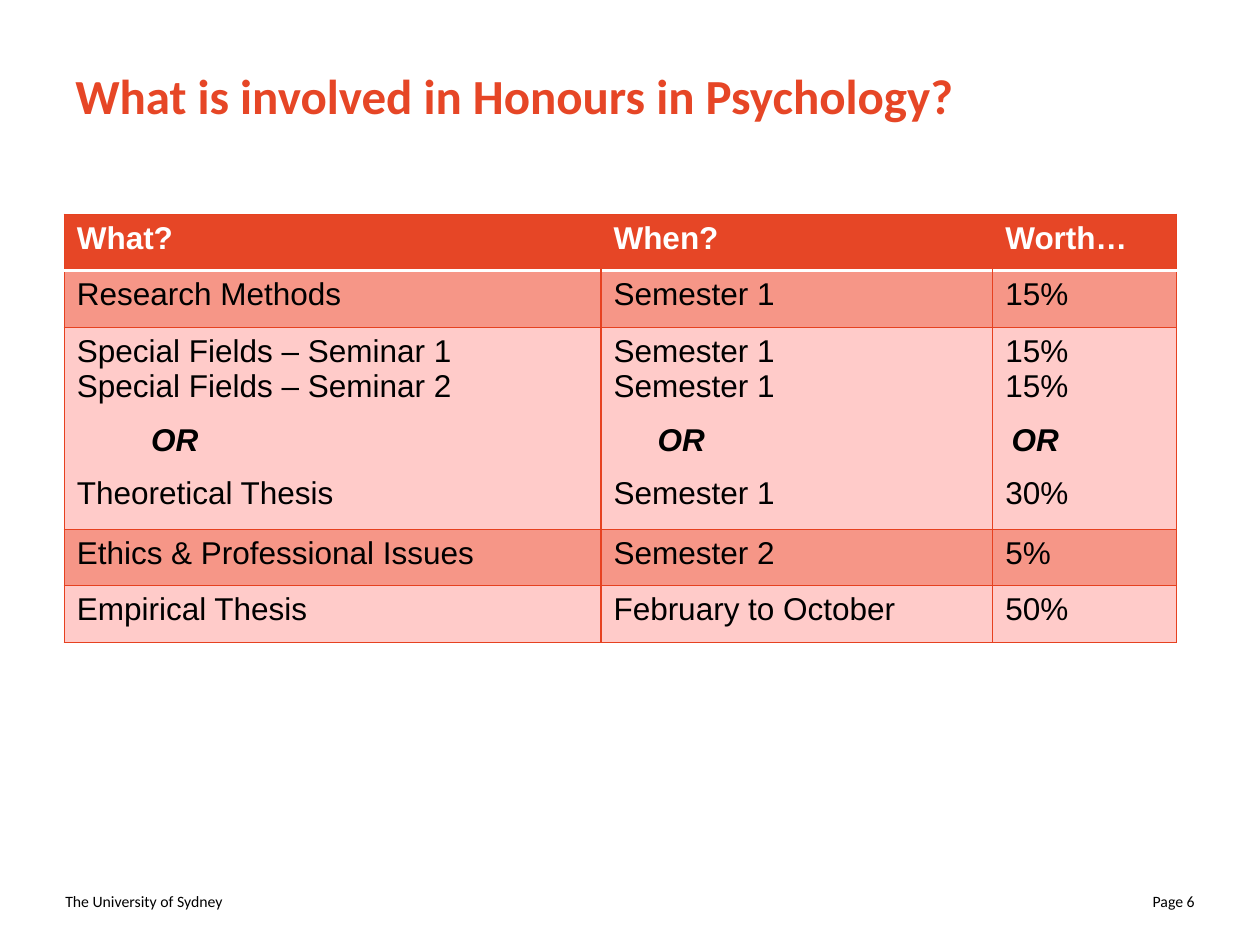
from dataclasses import dataclass

import pptx
import pptx.dml.color
import pptx.enum.text
import pptx.oxml.ns
import pptx.util
from lxml import etree

Inches = pptx.util.Inches
Align = pptx.enum.text.PP_ALIGN


@dataclass(frozen=True)
class Theme:
    heading_font: str = "Calibri"
    table_font: str = "Arial"
    title_size: float = 28
    table_size: float = 18
    footer_size: float = 9
    choice_gap: float = 10.5
    accent: str = "E64626"
    rule: str = "E64120"
    dark_band: str = "F69687"
    light_band: str = "FFCBC9"
    white: str = "FFFFFF"
    black: str = "000000"


@dataclass(frozen=True)
class Label:
    text: str
    left: float
    top: float
    width: float
    height: float
    size: float
    color: str
    bold: bool = False
    align: Align = Align.LEFT


@dataclass(frozen=True)
class Column:
    width: float
    choice_indent: float


THEME = Theme()
CHOICE = "OR"
LABELS = [
    Label("The University of Sydney", 0.42, 6.95, 2.33, 0.4, THEME.footer_size, THEME.black),
    Label("Page 6", 7.25, 6.95, 2.33, 0.4, THEME.footer_size, THEME.black, align=Align.RIGHT),
    Label("What is involved in Honours in Psychology?", 0.5, 0.13, 9, 1.25,
          THEME.title_size, THEME.accent, bold=True),
]
COLUMNS = [Column(4.26, 0.59), Column(3.11, 0.35), Column(1.46, 0.05)]
ROW_HEIGHTS = [0.45, 0.45, 1.6, 0.45, 0.45]
ROWS = [
    ("What?", "When?", "Worth…"),
    ("Research Methods", "Semester 1", "15%"),
    ("Special Fields – Seminar 1\nSpecial Fields – Seminar 2\nOR\nTheoretical Thesis",
     "Semester 1\nSemester 1\nOR\nSemester 1",
     "15%\n15%\nOR\n30%"),
    ("Ethics & Professional Issues", "Semester 2", "5%"),
    ("Empirical Thesis", "February to October", "50%"),
]


def rgb(color: str) -> pptx.dml.color.RGBColor:
    return pptx.dml.color.RGBColor.from_string(color)


def style_font(para, name: str, size: float, color: str, bold: bool = False) -> None:
    para.font.name = name
    para.font.size = pptx.util.Pt(size)
    para.font.color.rgb = rgb(color)
    para.font.bold = bold


def add_label(page, label: Label) -> None:
    box = page.shapes.add_textbox(*map(Inches, (label.left, label.top, label.width, label.height)))
    frame = box.text_frame
    frame.word_wrap = True
    frame.vertical_anchor = pptx.enum.text.MSO_ANCHOR.MIDDLE
    para = frame.paragraphs[0]
    para.text = label.text
    para.alignment = label.align
    style_font(para, THEME.heading_font, label.size, label.color, label.bold)


def set_border(cell, side: str, color: str | None, points: float = 0.75) -> None:
    """Draw one cell side (L, R, T or B), or clear it when color is None."""
    qn = pptx.oxml.ns.qn
    properties = cell._tc.get_or_add_tcPr()
    line = etree.SubElement(properties, qn(f"a:ln{side}"), w=str(pptx.util.Pt(points)))
    if color is None:
        etree.SubElement(line, qn("a:noFill"))
    else:
        fill = etree.SubElement(line, qn("a:solidFill"))
        etree.SubElement(fill, qn("a:srgbClr"), val=color)


def draw_borders(cell, row: int, col: int) -> None:
    header = row == 0
    set_border(cell, "L", None if header and col > 0 else THEME.rule)
    set_border(cell, "R", None if header and col < len(COLUMNS) - 1 else THEME.rule)
    if row == 1:
        set_border(cell, "T", THEME.white, 2)
    else:
        set_border(cell, "T", THEME.rule)
    if header:
        set_border(cell, "B", THEME.white, 2)
    else:
        set_border(cell, "B", THEME.rule)


def fill_cell(cell, text: str, row: int, col: int) -> None:
    header = row == 0
    draw_borders(cell, row, col)
    cell.fill.solid()
    band = THEME.dark_band if row % 2 else THEME.light_band
    cell.fill.fore_color.rgb = rgb(THEME.accent if header else band)
    cell.text_frame.text = text
    color = THEME.white if header else THEME.black
    for para in cell.text_frame.paragraphs:
        style_font(para, THEME.table_font, THEME.table_size, color, header)
        if para.text == CHOICE:
            para.font.bold = para.font.italic = True
            para.space_before = para.space_after = pptx.util.Pt(THEME.choice_gap)
            para._p.get_or_add_pPr().set("marL", str(Inches(COLUMNS[col].choice_indent)))


def add_course_table(page) -> None:
    width = sum(column.width for column in COLUMNS)
    table = page.shapes.add_table(
        len(ROWS), len(COLUMNS), Inches(0.51), Inches(1.7),
        Inches(width), Inches(sum(ROW_HEIGHTS))).table
    for col, column in enumerate(COLUMNS):
        table.columns[col].width = Inches(column.width)
    for row, (height, texts) in enumerate(zip(ROW_HEIGHTS, ROWS)):
        table.rows[row].height = Inches(height)
        for col, text in enumerate(texts):
            fill_cell(table.cell(row, col), text, row, col)


def main() -> None:
    deck = pptx.Presentation()
    deck.slide_width, deck.slide_height = Inches(10), Inches(7.5)
    page = deck.slides.add_slide(deck.slide_layouts[6])
    for label in LABELS:
        add_label(page, label)
    add_course_table(page)
    deck.save("out.pptx")


if __name__ == "__main__":
    main()
